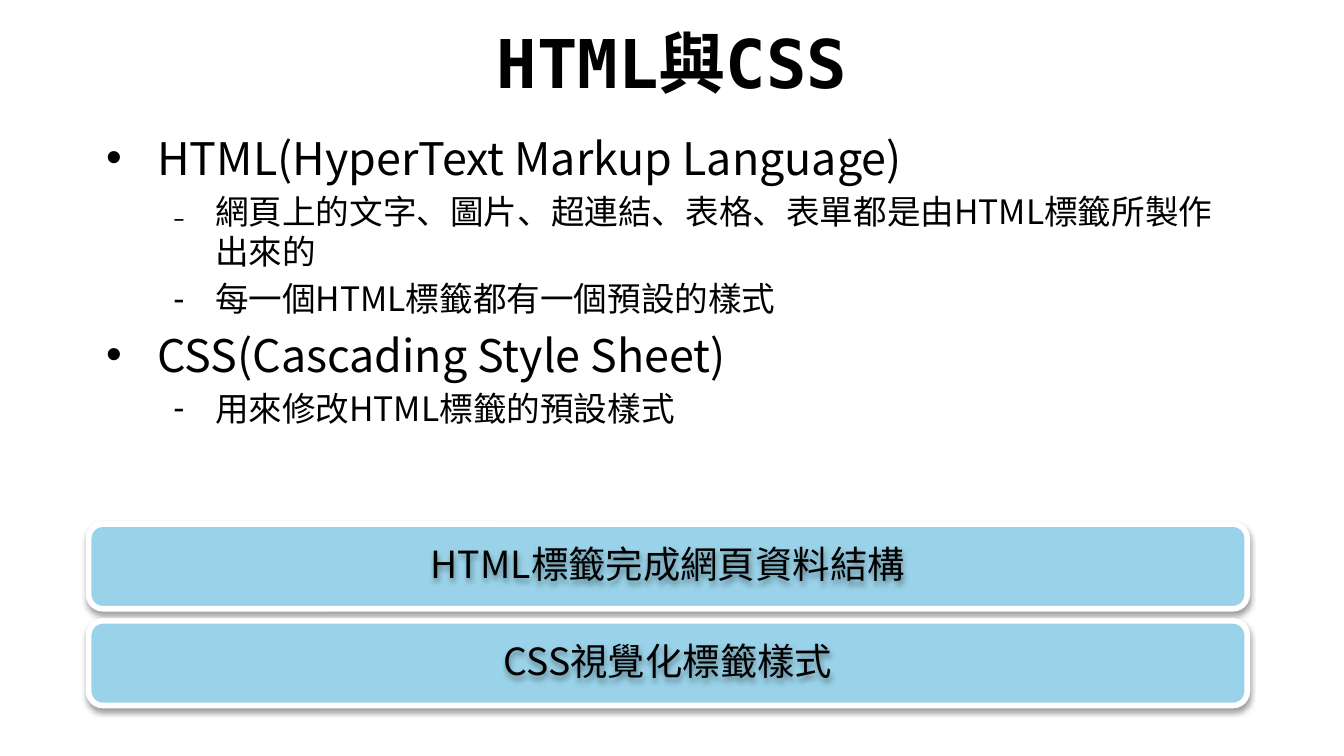
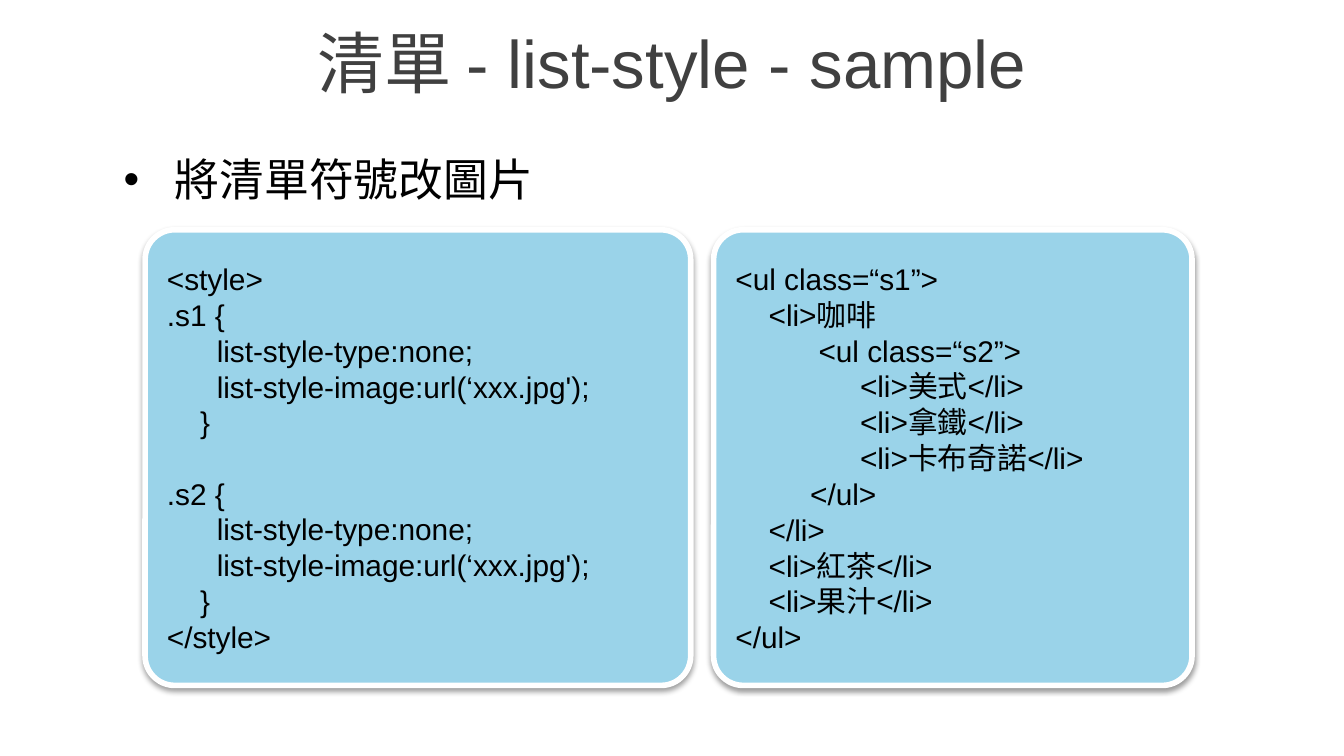
"""Build two slides on HTML and CSS."""
from lxml.etree import SubElement as Sub
from pptx import Presentation
from pptx.dml.color import RGBColor as RGB
from pptx.enum.shapes import MSO_SHAPE as Shape
from pptx.enum.text import MSO_ANCHOR as Anchor, MSO_AUTO_SIZE as Auto, PP_ALIGN as Align
from pptx.oxml.ns import qn
from pptx.util import Inches, Pt

COLORS = {"black": "000000", "gray": "404040", "sky": "9AD3E9", "white": "FFFFFF"}
CJK = "Noto Sans CJK SC"
SPACE = 4.45 / 72
LEVELS = [(0.38, -0.38, 24), (0.81, -0.31, 18)]


def color(name):
    """Return a named colour."""
    return RGB.from_string(COLORS[name])


class Deck:
    """Hold the style and the current slide."""

    def __init__(self):
        """Start an empty 16:9 deck."""
        self.prs = Presentation()
        self.prs.slide_width = Inches(10)
        self.prs.slide_height = Inches(10 * 9 / 16)
        self.slide = None

    def place(self, item, box):
        """Move an element to a box in inches."""
        item.left, item.top, item.width, item.height = map(Inches, box)

    def style(self, para, size, font, hue="black", bold=False):
        """Format the runs of a paragraph."""
        for run in para.runs:
            run.font.size = Pt(size)
            run.font.name = font
            run.font.bold = bold
            run.font.color.rgb = color(hue)
            Sub(run.font._element, qn("a:ea"), typeface=CJK)

    def indent(self, para, left, first=0):
        """Set the left and first-line indents."""
        props = para._p.get_or_add_pPr()
        props.set("marL", str(Inches(left)))
        props.set("indent", str(Inches(first)))
        return props

    def shade(self, shape):
        """Give a shape a soft shadow below it."""
        shape.shadow.inherit = False
        effects = shape._element.spPr.find(qn("a:effectLst"))
        outer = Sub(effects, qn("a:outerShdw"), blurRad=str(Pt(3.1)),
                    dist=str(Pt(1.6)), dir="5400000", rotWithShape="0")
        tint = Sub(outer, qn("a:srgbClr"), val=COLORS["black"])
        Sub(tint, qn("a:alpha"), val="38000")

    def title(self, text, font, hue, bold=False):
        """Add a slide with a centred title."""
        self.slide = self.prs.slides.add_slide(self.prs.slide_layouts[1])
        head = self.slide.shapes.title
        self.place(head, (0, 0.14, 10, 0.63))
        frame = head.text_frame
        frame.text = text
        frame.auto_size = Auto.NONE
        frame.vertical_anchor = Anchor.MIDDLE
        frame.paragraphs[0].alignment = Align.CENTER
        self.style(frame.paragraphs[0], 36, font, hue, bold)

    def bullets(self, box, items, font):
        """Fill the body with (level, mark, text) items."""
        body = self.slide.placeholders[1]
        self.place(body, box)
        frame = body.text_frame
        frame.text = "\n".join(text for _, _, text in items)
        frame.auto_size = Auto.NONE
        for para, (level, mark, _) in zip(frame.paragraphs, items):
            left, first, size = LEVELS[level]
            para.level = level
            props = self.indent(para, left, first)
            Sub(props, qn("a:buFont"), typeface="Arial")
            Sub(props, qn("a:buChar"), char=mark)
            self.style(para, size, font)

    def card(self, box, round=None):
        """Add a rounded card with a white edge."""
        card = self.slide.shapes.add_shape(Shape.ROUNDED_RECTANGLE, *map(Inches, box))
        if round is not None:
            card.adjustments[0] = round
        card.fill.solid()
        card.fill.fore_color.rgb = color("sky")
        card.line.color.rgb = color("white")
        card.line.width = Pt(3)
        self.shade(card)
        return card

    def banner(self, top, text):
        """Add a wide card with a centred label."""
        self.card((0.66, top, 8.62, 0.63))
        label = self.slide.shapes.add_textbox(*map(Inches, (0.7, top + 0.03, 8.54, 0.57)))
        label.fill.background()
        self.shade(label)
        frame = label.text_frame
        frame.word_wrap = True
        frame.vertical_anchor = Anchor.MIDDLE
        frame.margin_left = frame.margin_right = Inches(0.11)
        frame.margin_top = frame.margin_bottom = Inches(0.11)
        frame.text = text
        para = frame.paragraphs[0]
        para.alignment = Align.CENTER
        para.line_spacing = 0.9
        self.style(para, 20, CJK)

    def code(self, left, width, lines, gaps=()):
        """Add a card of (indent, text) code lines."""
        frame = self.card((left, 1.71, width, 3.39), 0.065).text_frame
        frame.word_wrap = True
        frame.vertical_anchor = Anchor.MIDDLE
        frame.text = "\n".join(text for _, text in lines)
        for row, (para, (depth, _)) in enumerate(zip(frame.paragraphs, lines)):
            para.alignment = Align.LEFT
            self.indent(para, depth * SPACE)
            if row in gaps:
                para.space_before = Pt(19)
            self.style(para, 16, "Arial")


def rule(name):
    """Return the code lines of one CSS rule."""
    return [(0, f".{name} {{"), (6, "list-style-type:none;"),
            (6, "list-style-image:url(‘xxx.jpg');"), (4, "}")]


def main():
    """Build and save the deck."""
    deck = Deck()
    deck.title("HTML與CSS", "DejaVu Sans Mono", "black", True)
    deck.bullets((0.69, 0.92, 8.62, 2.86), [
        (0, "•", "HTML(HyperText Markup Language)"),
        (1, "₋", "網頁上的文字、圖片、超連結、表格、表單都是由HTML標籤所製作出來的"),
        (1, "-", "每一個HTML標籤都有一個預設的樣式"),
        (0, "•", "CSS(Cascading Style Sheet)"),
        (1, "-", "用來修改HTML標籤的預設樣式"),
    ], CJK)
    for row, text in enumerate(["HTML標籤完成網頁資料結構", "CSS視覺化標籤樣式"]):
        deck.banner(3.9 + row * 0.72, text)

    deck.title("清單 - list-style - sample", "Arial", "gray")
    deck.bullets((0.82, 1.08, 8.28, 0.71), [(0, "•", "將清單符號改圖片")], "Arial")
    deck.code(1.08, 4.06, [(0, "<style>"), *rule("s1"), *rule("s2"), (0, "</style>")], (5,))
    deck.code(5.31, 3.56, [
        (0, "<ul class=“s1”>"),
        (4, "<li>咖啡"),
        (10, "<ul class=“s2”>"),
        *[(15, f"<li>{drink}</li>") for drink in ("美式", "拿鐵", "卡布奇諾")],
        (9, "</ul>"),
        (4, "</li>"),
        *[(4, f"<li>{drink}</li>") for drink in ("紅茶", "果汁")],
        (0, "</ul>"),
    ])
    deck.prs.save("out.pptx")


if __name__ == "__main__":
    main()
